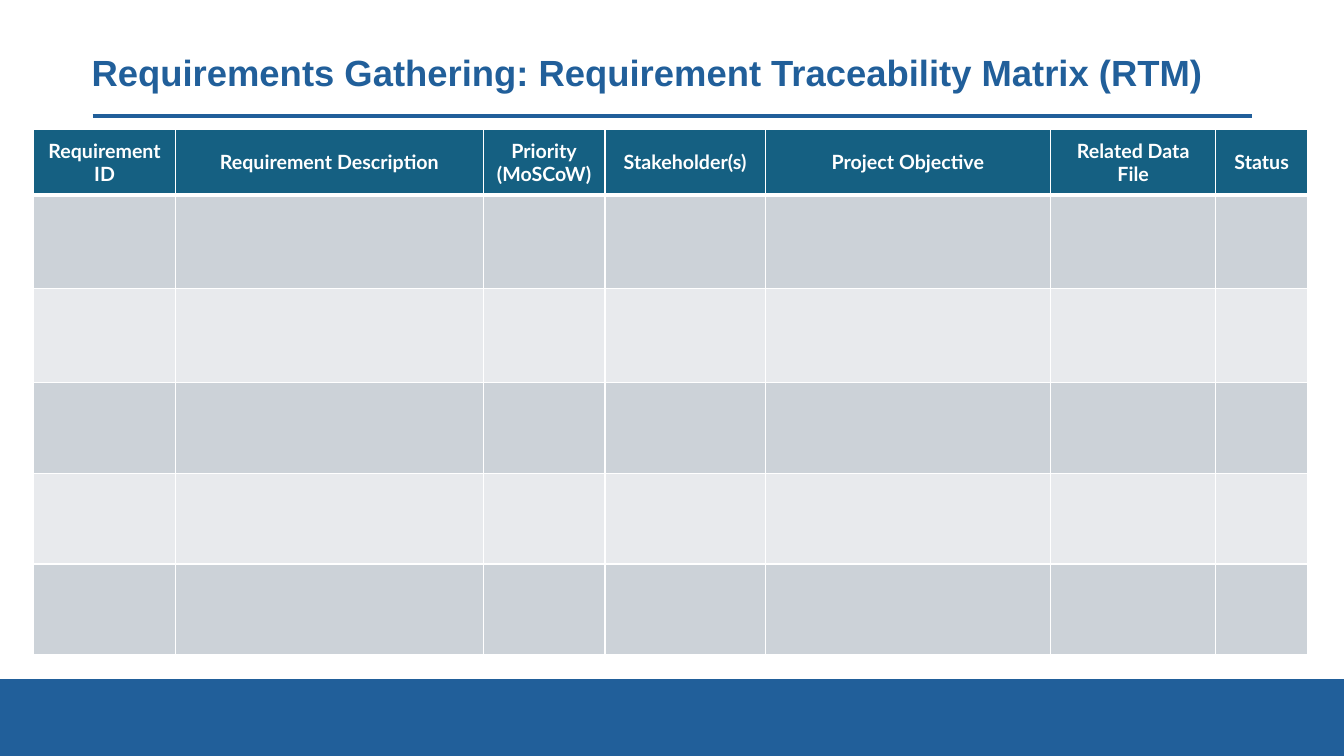
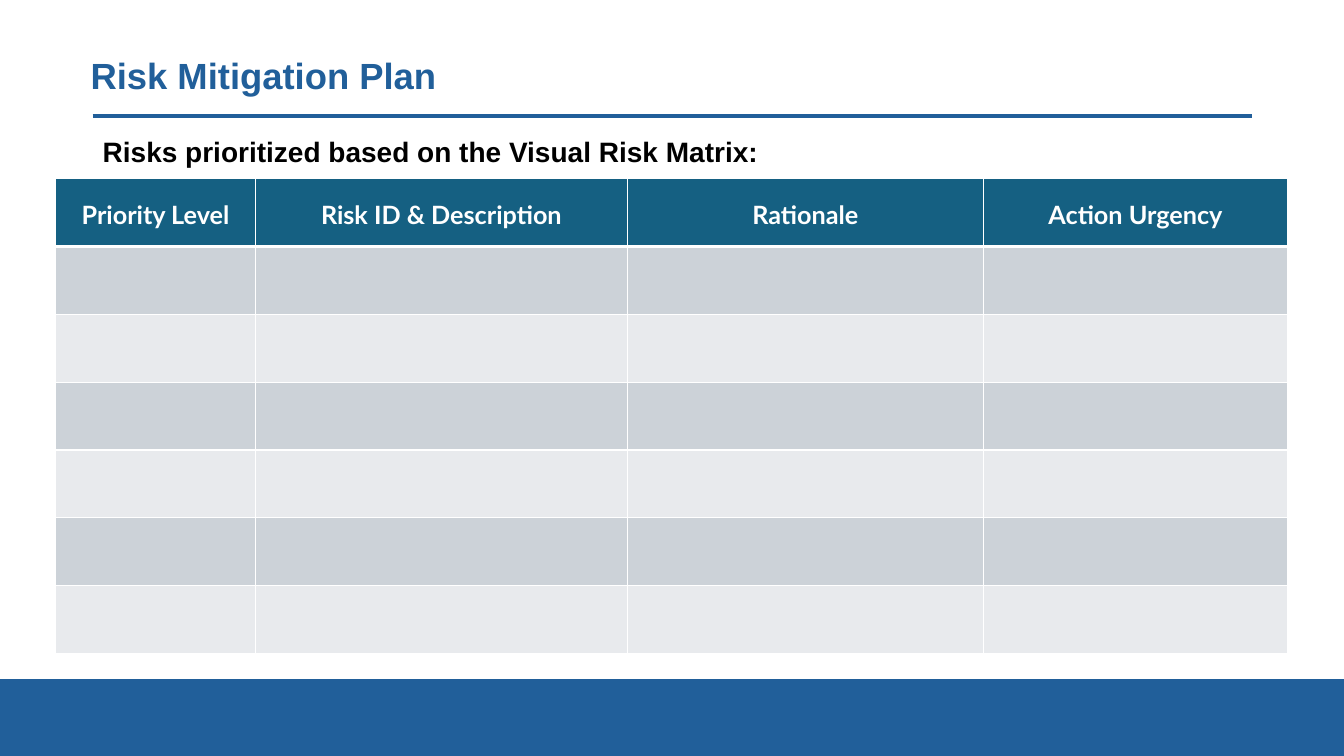
import dataclasses

import lxml.etree
import pptx
import pptx.dml.color
import pptx.enum.shapes
import pptx.enum.text
import pptx.oxml
import pptx.oxml.ns
import pptx.util

RGBColor = pptx.dml.color.RGBColor
ALIGN = pptx.enum.text.PP_ALIGN
ANCHOR = pptx.enum.text.MSO_ANCHOR

BLUE = RGBColor(0x21, 0x5F, 0x9A)
TEAL = RGBColor(0x15, 0x60, 0x82)
DARK_BAND = RGBColor(0xCC, 0xD2, 0xD8)
LIGHT_BAND = RGBColor(0xE8, 0xEA, 0xED)
WHITE = RGBColor(0xFF, 0xFF, 0xFF)
BLACK = RGBColor(0, 0, 0)

SLIDE_WIDTH = pptx.util.Inches(13.33)
SLIDE_HEIGHT = pptx.util.Inches(7.5)

TITLE_FORMAT = {"name": "Arial", "size": pptx.util.Pt(26), "bold": True}
SUBTITLE_FORMAT = {"name": "Arial", "size": pptx.util.Pt(20), "bold": True}
HEADER_FORMAT = {"name": "Lato", "size": pptx.util.Pt(14), "bold": True}
LARGE_HEADER_FORMAT = {**HEADER_FORMAT, "size": pptx.util.Pt(18)}


@dataclasses.dataclass
class Box:
    """A region given in percent of the slide's width and height."""

    left: float
    top: float
    width: float
    height: float

    def emu(self):
        return (
            round(SLIDE_WIDTH * self.left / 100),
            round(SLIDE_HEIGHT * self.top / 100),
            round(SLIDE_WIDTH * self.width / 100),
            round(SLIDE_HEIGHT * self.height / 100),
        )


def set_attributes(target, values):
    for name, value in values.items():
        setattr(target, name, value)


def format_paragraph(paragraph, font_format, color, **paragraph_format):
    set_attributes(paragraph, paragraph_format)
    set_attributes(paragraph.font, font_format)
    paragraph.font.color.rgb = color


def add_text(slide, box, text, font_format, color, anchor):
    frame = slide.shapes.add_textbox(*box.emu()).text_frame
    set_attributes(frame, {"word_wrap": True, "vertical_anchor": anchor, "text": text})
    format_paragraph(frame.paragraphs[0], font_format, color, line_spacing=0.9)


def add_footer_band(slide, box):
    band = slide.shapes.add_shape(pptx.enum.shapes.MSO_SHAPE.RECTANGLE, *box.emu())
    band.shadow.inherit = False
    band.fill.solid()
    band.fill.fore_color.rgb = BLUE
    band.line.color.rgb = BLUE
    band.line.width = pptx.util.Pt(1.5)


def add_title_rule(slide, box):
    left, top, width, height = box.emu()
    rule = slide.shapes.add_connector(
        pptx.enum.shapes.MSO_CONNECTOR.STRAIGHT, left, top, left + width, top + height
    )
    rule.line.color.rgb = BLUE
    rule.line.width = pptx.util.Pt(3)
    lxml.etree.SubElement(rule._element.spPr, pptx.oxml.ns.qn("a:effectLst"))


def add_borders(cell, widths):
    properties = cell._tc.get_or_add_tcPr()
    for index, (side, points) in enumerate(widths.items()):
        border = pptx.oxml.parse_xml(
            f'<a:ln{side} {pptx.oxml.ns.nsdecls("a")} w="{pptx.util.Pt(points)}">'
            f'<a:solidFill><a:srgbClr val="{WHITE}"/></a:solidFill></a:ln{side}>'
        )
        properties.insert(index, border)


def add_banded_table(slide, box, headings, column_shares, row_shares,
                     font_format, cell_format, line_spacing):
    left, top, width, height = box.emu()
    table = slide.shapes.add_table(
        len(row_shares), len(headings), left, top, width, height
    ).table
    for column, share in zip(table.columns, column_shares):
        column.width = round(width * share / sum(column_shares))
    for row_index, (row, share) in enumerate(zip(table.rows, row_shares)):
        row.height = round(height * share / sum(row_shares))
        is_header = row_index == 0
        color = TEAL if is_header else (LIGHT_BAND, DARK_BAND)[row_index % 2]
        borders = {"L": 1, "R": 1, "T": 3 if row_index == 1 else 1, "B": 3 if is_header else 1}
        for cell, heading in zip(row.cells, headings):
            cell.fill.solid()
            cell.fill.fore_color.rgb = color
            add_borders(cell, borders)
            if is_header:
                cell.text = heading
                set_attributes(cell, {"vertical_anchor": ANCHOR.MIDDLE, **cell_format})
                for paragraph in cell.text_frame.paragraphs:
                    format_paragraph(paragraph, font_format, WHITE,
                                     alignment=ALIGN.CENTER, line_spacing=line_spacing)


def add_titled_slide(presentation, title, title_box):
    slide = presentation.slides.add_slide(presentation.slide_layouts[6])
    add_footer_band(slide, Box(0, 90, 100, 10))
    add_title_rule(slide, Box(6.9, 15.33, 86.27, 0))
    add_text(slide, title_box, title, TITLE_FORMAT, BLUE, ANCHOR.MIDDLE)
    return slide


def add_requirements_slide(presentation):
    slide = add_titled_slide(
        presentation,
        "Requirements Gathering: Requirement Traceability Matrix (RTM)",
        Box(6.08, 4.93, 87.1, 10),
    )
    add_banded_table(
        slide,
        Box(2.5, 17.13, 94.8, 69.5),
        ["Requirement ID", "Requirement Description", "Priority\n(MoSCoW)",
         "Stakeholder(s)", "Project Objective", "Related Data File", "Status"],
        [1.41, 3.05, 1.21, 1.59, 2.83, 1.64, 0.91],
        [0.65, 0.93, 0.93, 0.9, 0.9, 0.9],
        HEADER_FORMAT, {}, 1.0,
    )


def add_risk_slide(presentation):
    slide = add_titled_slide(presentation, "Risk Mitigation Plan", Box(6, 5.33, 86.27, 10))
    add_text(slide, Box(6.9, 17.6, 86.27, 6.13),
             "Risks prioritized based on the Visual Risk Matrix:",
             SUBTITLE_FORMAT, BLACK, ANCHOR.TOP)
    margins = dict.fromkeys(
        ["margin_left", "margin_right", "margin_top", "margin_bottom"],
        pptx.util.Inches(0.01),
    )
    add_banded_table(
        slide,
        Box(4.15, 23.65, 91.67, 62.8),
        ["Priority Level", "Risk ID & Description", "Rationale", "Action Urgency"],
        [1.98, 3.69, 3.53, 3.02],
        [1] * 7,
        LARGE_HEADER_FORMAT, margins, 1.15,
    )


def main():
    presentation = pptx.Presentation()
    set_attributes(presentation, {"slide_width": SLIDE_WIDTH, "slide_height": SLIDE_HEIGHT})
    add_requirements_slide(presentation)
    add_risk_slide(presentation)
    presentation.save("out.pptx")


if __name__ == "__main__":
    main()
